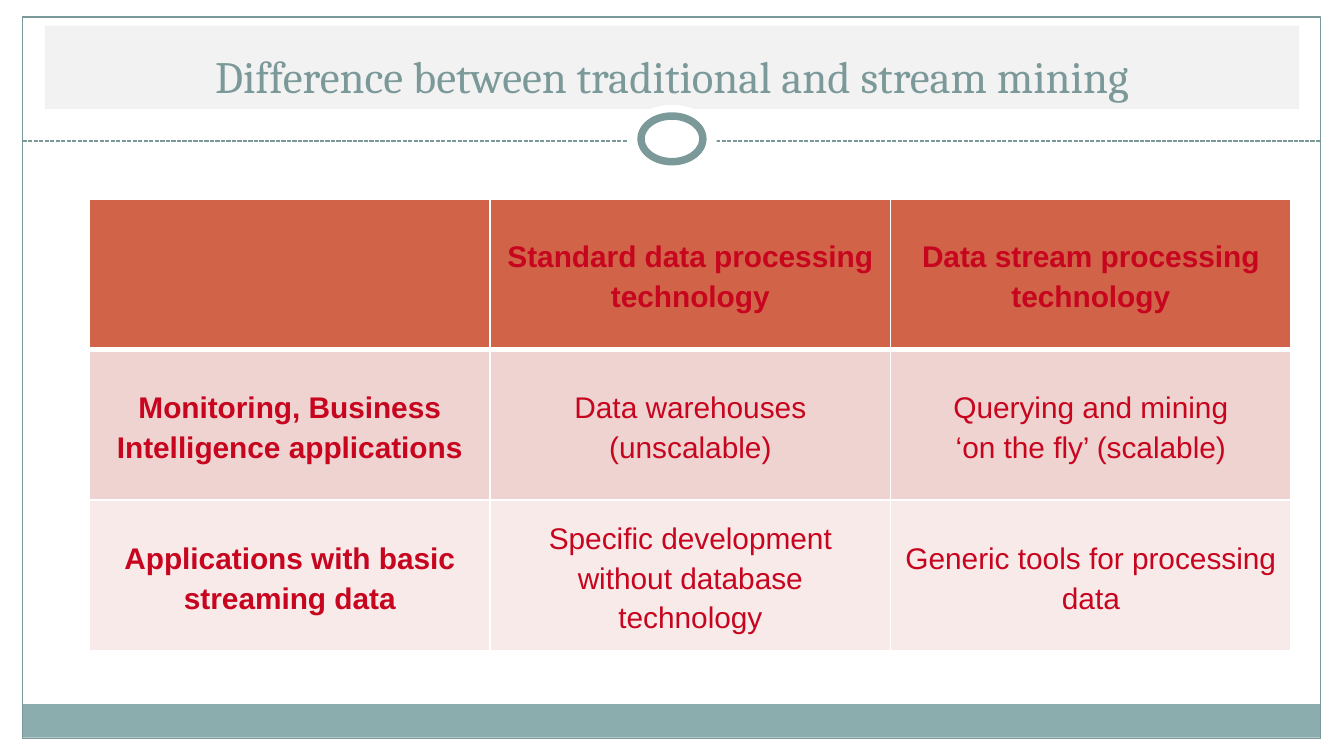
from lxml import etree
from pptx import Presentation
from pptx import util as u
from pptx.dml.color import RGBColor
from pptx.enum import dml, shapes, text
from pptx.oxml import ns

W = u.Inches(10)
H = u.Emu(W * 9 // 16)
WHITE = RGBColor(0xFF, 0xFF, 0xFF)
TEAL = RGBColor(0x7C, 0x99, 0x9A)
BAND = RGBColor(0x8C, 0xAD, 0xAE)
GRAY = RGBColor(0xF2, 0xF2, 0xF2)
RED = RGBColor(0xC7, 0x05, 0x1F)
ROW_FILLS = [RGBColor(0xD1, 0x63, 0x49), RGBColor(0xEE, 0xD3, 0xD0),
             RGBColor(0xF7, 0xEA, 0xE9)]

ROWS = [
    ["", "Standard data processing technology",
     "Data stream processing technology"],
    ["Monitoring, Business Intelligence applications",
     "Data warehouses (unscalable)",
     "Querying and mining\v\u2018on the fly\u2019 (scalable)"],
    ["Applications with basic streaming data",
     "Specific development without database technology",
     "Generic tools for processing data"],
]


def box(x, y, w, h):
    """Turn percentages of the slide into lengths."""
    return [int(v * full / 100) for v, full in zip((x, y, w, h), (W, H, W, H))]


def set_attrs(obj, fmt):
    for name, value in fmt.items():
        setattr(obj, name, value)


def format_text(p, para, font, color):
    set_attrs(p, para)
    for r in p.runs:
        set_attrs(r.font, font)
        r.font.color.rgb = color


def add_shape(s, kind, area, fill=None, line=None, width=0.75):
    sp = s.shapes.add_shape(kind, *box(*area))
    sp.shadow.inherit = False
    for target, color in ((sp.fill, fill), (sp.line.fill, line)):
        if color is None:
            target.background()
        else:
            target.solid()
            target.fore_color.rgb = color
    if line is not None:
        sp.line.width = u.Pt(width)


def add_rule(s, x1, x2, y):
    left, top, right, _ = box(x1, y, x2, 0)
    ln = s.shapes.add_connector(shapes.MSO_CONNECTOR.STRAIGHT,
                                left, top, right, top)
    ln.line.color.rgb = TEAL
    set_attrs(ln.line, {"width": u.Pt(0.75),
                        "dash_style": dml.MSO_LINE.SQUARE_DOT})
    etree.SubElement(ln._element.spPr, ns.qn("a:effectLst"))


def set_title(s, words, area):
    sp = s.shapes.title
    set_attrs(sp, dict(zip(("left", "top", "width", "height"), box(*area))))
    sp.fill.solid()
    sp.fill.fore_color.rgb = GRAY
    tf = sp.text_frame
    tf.text = words
    set_attrs(tf, {"vertical_anchor": text.MSO_ANCHOR.BOTTOM,
                   "word_wrap": True, "auto_size": text.MSO_AUTO_SIZE.NONE})
    format_text(tf.paragraphs[0], {"alignment": text.PP_ALIGN.CENTER},
                {"size": u.Pt(24), "name": "Cambria"}, TEAL)


def set_borders(cell, widths):
    tc_pr = cell._tc.get_or_add_tcPr()
    for i, (side, width) in enumerate(widths.items()):
        ln = etree.Element(ns.qn("a:ln" + side), w=str(u.Pt(width)))
        fill = etree.SubElement(ln, ns.qn("a:solidFill"))
        etree.SubElement(fill, ns.qn("a:srgbClr"), val=str(WHITE))
        tc_pr.insert(i, ln)


def add_table(s, rows, area):
    tbl = s.shapes.add_table(len(rows), len(rows[0]), *box(*area)).table
    for i, row in enumerate(rows):
        for j, words in enumerate(row):
            cell = tbl.cell(i, j)
            cell.vertical_anchor = text.MSO_ANCHOR.MIDDLE
            cell.fill.solid()
            cell.fill.fore_color.rgb = ROW_FILLS[i]
            # The rule under the header row is heavier
            set_borders(cell, {"L": 1, "R": 1, "T": 3 if i == 1 else 1,
                               "B": 3 if i == 0 else 1})
            p = cell.text_frame.paragraphs[0]
            p.text = words
            format_text(p, {"alignment": text.PP_ALIGN.CENTER,
                            "line_spacing": 1.2, "space_before": u.Pt(7.2)},
                        {"size": u.Pt(16), "name": "Arial",
                         "bold": i == 0 or j == 0}, RED)


def main():
    prs = Presentation()
    set_attrs(prs, {"slide_width": W, "slide_height": H})
    s = prs.slides.add_slide(prs.slide_layouts[5])
    rect, oval = shapes.MSO_SHAPE.RECTANGLE, shapes.MSO_SHAPE.OVAL

    # Frame, footer band and divider with ring
    add_shape(s, rect, (1.65, 93.16, 96.6, 4.44), fill=BAND)
    add_shape(s, rect, (1.67, 2.26, 96.6, 95.47), line=TEAL)
    add_rule(s, 1.7, 98.3, 18.67)
    add_shape(s, oval, (46.67, 13.87, 6.67, 8.89), fill=WHITE)
    add_shape(s, oval, (47.7, 15.35, 4.6, 6.04), WHITE, TEAL, 4)

    # Title and comparison table
    set_title(s, "Difference between traditional and stream mining",
              (3.33, 3.38, 93.33, 11.02))
    add_table(s, ROWS, (6.67, 26.31, 89.4, 59.8))
    prs.save("out.pptx")


main()
